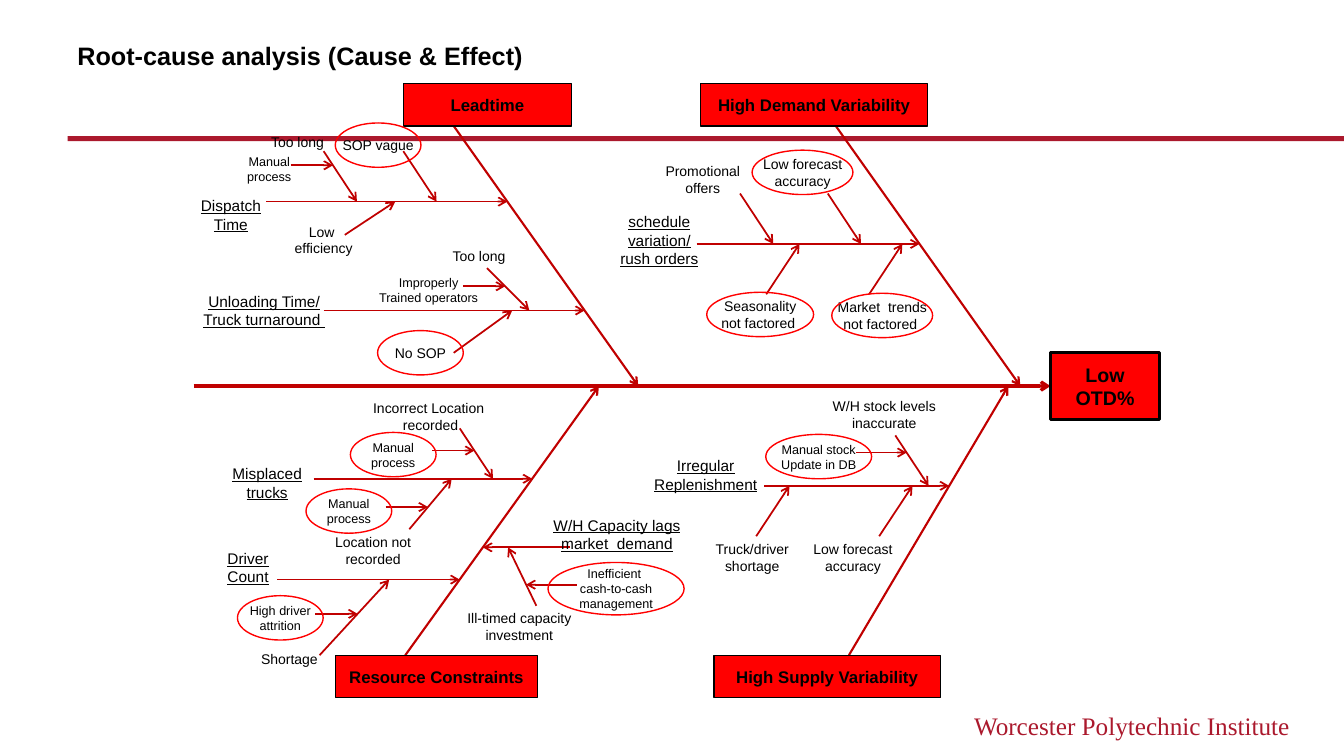
from dataclasses import dataclass

import pptx
import pptx.util
import pptx.dml.color
import pptx.enum.shapes
import pptx.enum.text
import pptx.oxml.ns
from lxml import etree

RGBColor = pptx.dml.color.RGBColor
MSO_SHAPE = pptx.enum.shapes.MSO_SHAPE
PP_ALIGN = pptx.enum.text.PP_ALIGN
MSO_ANCHOR = pptx.enum.text.MSO_ANCHOR

BLACK = RGBColor(0x00, 0x00, 0x00)
RED = RGBColor(0xFF, 0x00, 0x00)
DARK_RED = RGBColor(0xC0, 0x00, 0x00)
CRIMSON = RGBColor(0xAB, 0x19, 0x2D)


@dataclass
class Detail:
    text: str
    x: float            # centre of the label
    y: float
    oval: float = 0     # width of the ring, 0 for none


@dataclass
class Cause(Detail):
    tip: float = 0      # where the twig meets its branch
    run: float = -0.33  # from the tip back to the twig's start
    rise: float = 0.5
    detail: tuple = ()


@dataclass
class Branch:
    text: str
    x: float
    y: float
    start: float        # free end of the branch line
    level: float        # height of the branch line
    causes: list


# Content, with all lengths in inches
TITLE = "Root-cause analysis (Cause & Effect)"
FOOTER = "Worcester Polytechnic Institute"
EFFECT = "Low OTD%"
MANUAL = "Manual\nprocess"
FORECAST = "Low forecast\naccuracy"

# Category: name, box left and width, rib x at the box and at the spine
UPPER = [
    ("Leadtime", 4, 1.67, 4.5, 6.33, [
        Branch("Dispatch\nTime", 2.29, 2.13, 2.64, 2, [
            Cause("SOP vague", 3.75, 1.44, 0.85, 4.33),
            Cause("Too long", 2.95, 1.41, 0, 3.54,
                  detail=(MANUAL, 2.67, 1.68)),
            Cause("Low \nefficiency", 3.21, 2.38, 0, 3.92, -0.5, 0.33)]),
        Branch("Unloading Time/\nTruck turnaround ", 2.62, 3.08, 3.21, 3.08, [
            Cause("Too long", 4.75, 2.54, 0, 5.25, -0.42, 0.42,
                  ("Improperly\nTrained operators", 4.25, 2.88)),
            Cause("No SOP", 4.17, 3.5, 0.85, 5.08, -0.58, 0.42)])]),
    ("High Demand Variability", 6.95, 2.25, 8.29, 10.12, [
        Branch("schedule\nvariation/\nrush orders", 6.54, 2.38, 6.91, 2.42, [
            Cause("Promotional\noffers", 6.97, 1.78, 0, 7.67),
            Cause(FORECAST, 7.96, 1.71, 1, 8.54),
            Cause("Seasonality\nnot factored ", 7.54, 3.12, 1.06, 7.93),
            Cause("Market  trends\nnot factored ", 8.75, 3.13, 1, 8.95)])]),
]
LOWER = [
    ("Resource Constraints", 3.33, 2, 4.02, 5.94, [
        Branch("Misplaced\ntrucks", 2.65, 4.79, 3.11, 4.75, [
            Cause("Incorrect Location \nrecorded", 4.27, 4.13, 0, 4.89,
                  detail=(MANUAL, 3.9, 4.51, 0.85)),
            Cause("Location not\nrecorded", 3.7, 5.46, 0, 4.48, -0.42,
                  detail=(MANUAL, 3.46, 5.07, 0.85))]),
        Branch("Driver\nCount", 2.46, 5.63, 2.75, 5.75, [
            Cause("Shortage", 2.87, 6.54, 0, 3.86, -0.69, 0.75,
                  ("High driver\nattrition", 2.78, 6.13, 0.85))]),
        Branch("W/H Capacity lags market  demand", 6.12, 5.3, 5.65, 5.43, [
            Cause("Ill-timed capacity investment", 5.15, 6.21, 0, 5.04,
                  0.28, 0.58, ("Inefficient \ncash-to-cash management",
                               6.11, 5.84, 1.35))])]),
    ("High Supply Variability", 7.08, 2.25, 8.42, 10, [
        Branch("Irregular\nReplenishment", 7, 4.71, 7.58, 4.82, [
            Cause("W/H stock levels inaccurate", 8.77, 4.11, 0, 9.21,
                  detail=("Manual stock\nUpdate in DB", 8.12, 4.53, 1.05)),
            Cause("Truck/driver\nshortage", 7.46, 5.53, 0, 7.83),
            Cause(FORECAST, 8.46, 5.53, 0, 9.05)])]),
]

# Layout
SPINE_START, SPINE_END, SPINE_Y = 1.92, 10.42, 3.83
EFFECT_WIDTH, EFFECT_HEIGHT = 1.08, 0.67
BOX_HEIGHT = 0.42
UPPER_TOP, LOWER_TOP = 0.83, 6.5
BRANCH_LABEL, CAUSE_LABEL, DETAIL_LABEL = (11, 1.5), (10, 1.35), (9, 1.25)


def lengths(*inches):
    return [pptx.util.Cm(2.54 * value) for value in inches]


def write(shape, text, size, color=BLACK, bold=False, underline=False,
          font_name="Arial", align=PP_ALIGN.CENTER, anchor=MSO_ANCHOR.MIDDLE):
    frame = shape.text_frame
    frame.word_wrap = True
    frame.vertical_anchor = anchor
    frame.text = text
    for paragraph in frame.paragraphs:
        paragraph.alignment = align
        font = paragraph.font
        font.name, font.size = font_name, pptx.util.Pt(size)
        font.bold, font.underline = bold, underline
        font.color.rgb = color


def add_text(slide, area, text, size, **style):
    write(slide.shapes.add_textbox(*lengths(*area)), text, size, **style)


def add_preset(slide, kind, area, fill=None, line=None, width=1):
    shape = slide.shapes.add_shape(kind, *lengths(*area))
    shape.shadow.inherit = False
    for paint, color in ((shape.fill, fill), (shape.line.fill, line)):
        if color is None:
            paint.background()
        else:
            paint.solid()
            paint.fore_color.rgb = color
    if line is not None:
        shape.line.width = pptx.util.Pt(width)
    return shape


def add_arrow(slide, ends, width=1.25):
    connector = slide.shapes.add_connector(
        pptx.enum.shapes.MSO_CONNECTOR.STRAIGHT, *lengths(*ends))
    connector.line.color.rgb = DARK_RED
    connector.line.width = pptx.util.Pt(width)
    outline = connector.line._get_or_add_ln()
    etree.SubElement(outline, pptx.oxml.ns.qn("a:tailEnd"), type="arrow")
    etree.SubElement(connector._element.spPr, pptx.oxml.ns.qn("a:effectLst"))


def centred(x, y, width, height):
    return x - width / 2, y - height / 2, width, height


def add_label(slide, item, style, oval=0, underline=False):
    size, width = style
    add_text(slide, centred(item.x, item.y, width, BOX_HEIGHT), item.text,
             size, underline=underline)
    if oval:
        height = 0.44 if oval < 1.2 else 0.52
        add_preset(slide, MSO_SHAPE.OVAL,
                   centred(item.x, item.y, oval, height), line=RED)


def add_cause(slide, cause, level):
    side = 1 if cause.y > level else -1
    add_arrow(slide, (cause.tip + cause.run, level + side * cause.rise,
                      cause.tip, level))
    add_label(slide, cause, CAUSE_LABEL, cause.oval)
    if cause.detail:
        detail = Detail(*cause.detail)
        y = detail.y - 0.04
        x = cause.tip + cause.run * abs(y - level) / cause.rise
        reach = 0.5 if detail.oval > 1 else 0.42
        start = x - reach if detail.x < x else x + reach
        add_arrow(slide, (start, y, x, y))
        add_label(slide, detail, DETAIL_LABEL, detail.oval)


def add_category(slide, category, top, edge):
    name, left, width, box_x, spine_x, branches = category
    add_arrow(slide, (box_x, edge, spine_x, SPINE_Y), 1.5)
    box = add_preset(slide, MSO_SHAPE.RECTANGLE,
                     (left, top, width, BOX_HEIGHT), RED, BLACK)
    write(box, name, 12, bold=True)
    for branch in branches:
        share = (branch.level - edge) / (SPINE_Y - edge)
        rib_x = box_x + share * (spine_x - box_x)
        add_arrow(slide, (branch.start, branch.level, rib_x, branch.level))
        add_label(slide, branch, BRANCH_LABEL, underline=True)
        for cause in branch.causes:
            add_cause(slide, cause, branch.level)


def main():
    presentation = pptx.Presentation()
    presentation.slide_width, presentation.slide_height = lengths(13.33, 7.5)
    slide = presentation.slides.add_slide(presentation.slide_layouts[6])

    # Page frame
    add_preset(slide, MSO_SHAPE.RECTANGLE, (0.67, 1.35, 12.66, 0.05), CRIMSON)
    add_text(slide, (8, 7, 4.89, 0.4), FOOTER, 18, color=CRIMSON,
             font_name="Times New Roman", align=PP_ALIGN.RIGHT,
             anchor=MSO_ANCHOR.TOP)
    add_text(slide, (0.67, 0.35, 12, 0.4), TITLE, 18, bold=True,
             align=PP_ALIGN.LEFT, anchor=MSO_ANCHOR.TOP)

    # Spine and effect
    add_arrow(slide, (SPINE_START, SPINE_Y, SPINE_END, SPINE_Y), 2.25)
    area = (SPINE_END, SPINE_Y - EFFECT_HEIGHT / 2, EFFECT_WIDTH, EFFECT_HEIGHT)
    effect = add_preset(slide, MSO_SHAPE.RECTANGLE, area, RED, BLACK, 2.25)
    write(effect, EFFECT, 14, bold=True)

    # Bones above and below the spine
    for category in UPPER:
        add_category(slide, category, UPPER_TOP, UPPER_TOP + BOX_HEIGHT)
    for category in LOWER:
        add_category(slide, category, LOWER_TOP, LOWER_TOP)

    presentation.save("out.pptx")


if __name__ == "__main__":
    main()
